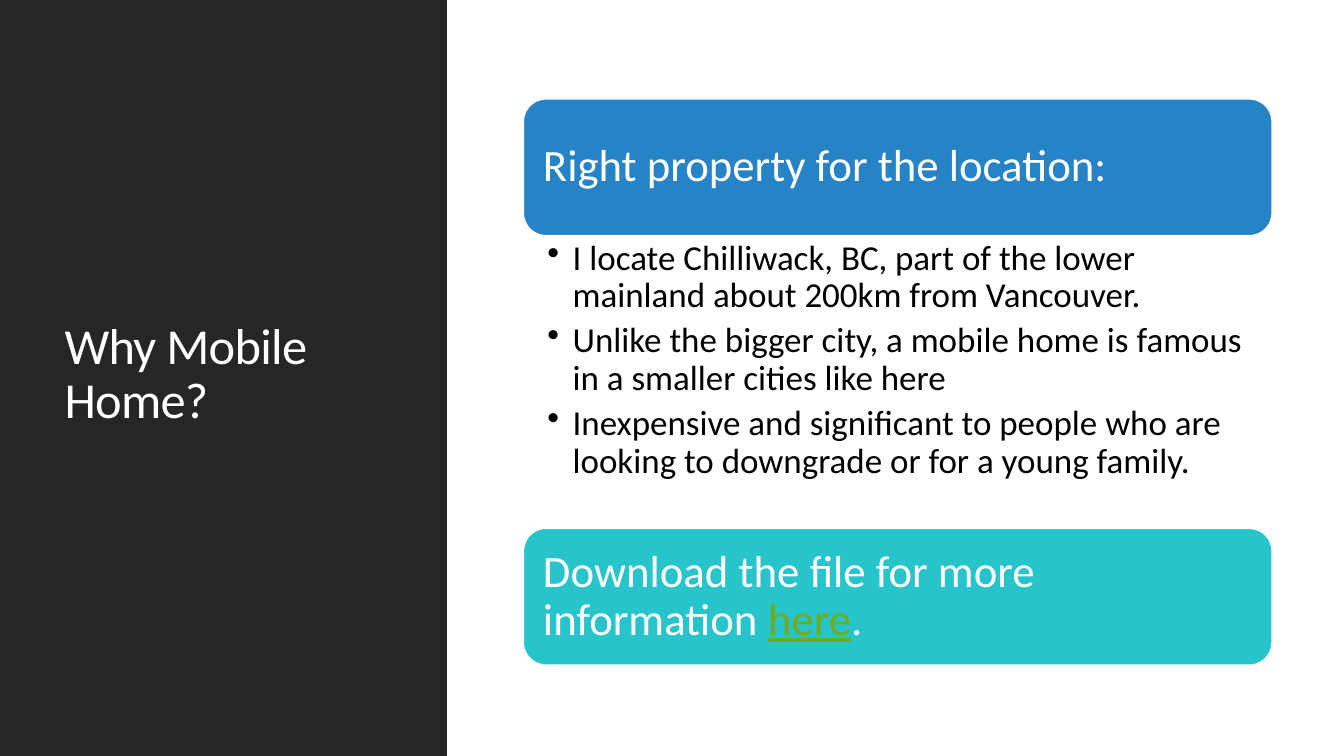
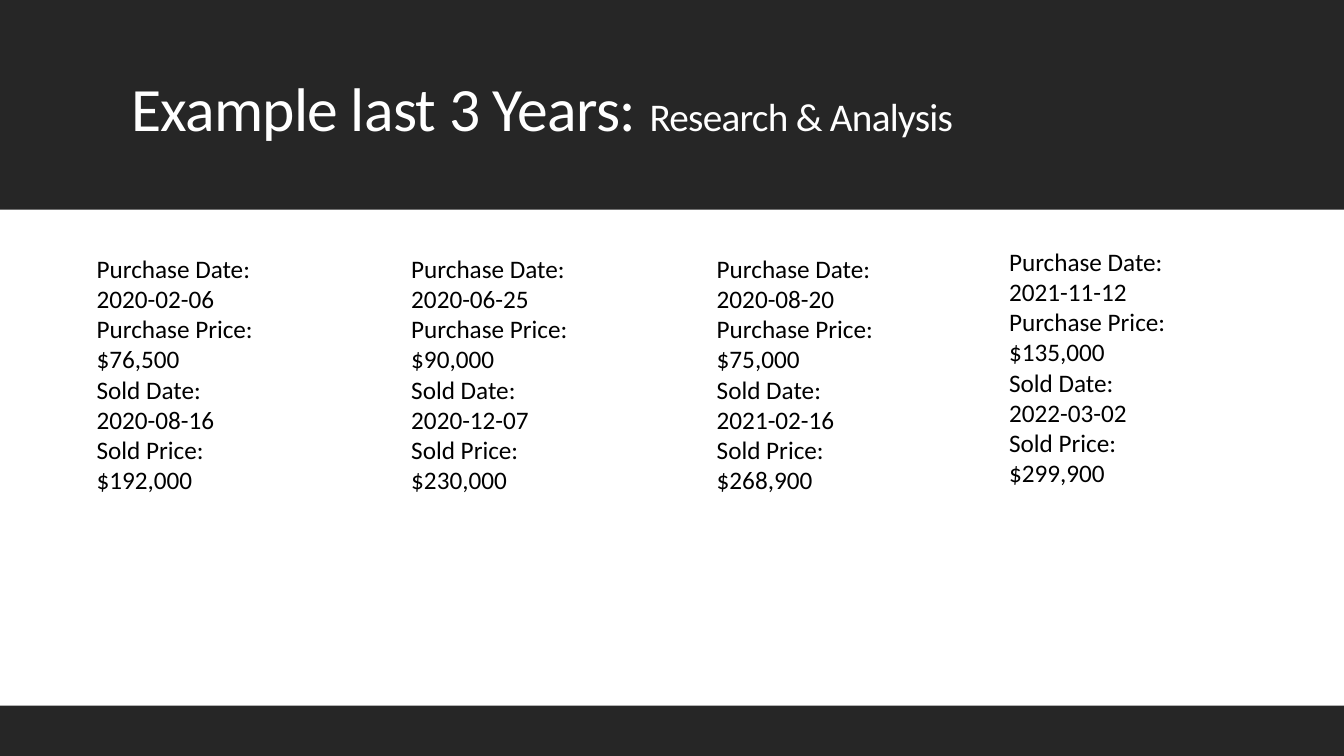
from lxml import etree
from pptx import Presentation
from pptx.dml.color import RGBColor
from pptx.enum.shapes import MSO_SHAPE
from pptx.enum.text import MSO_ANCHOR, MSO_AUTO_SIZE, PP_ALIGN
from pptx.oxml.ns import qn
from pptx.util import Inches, Pt

RECTANGLE, ROUNDED = MSO_SHAPE.RECTANGLE, MSO_SHAPE.ROUNDED_RECTANGLE
MIDDLE, LEFT, NO_FIT = MSO_ANCHOR.MIDDLE, PP_ALIGN.LEFT, MSO_AUTO_SIZE.NONE
FONT = "Calibri"
COLORS = {"dark": "262626", "white": "FFFFFF", "black": "000000",
          "blue": "2683C6", "teal": "28C4CC", "link": "6EAC1C"}

prs = Presentation()
prs.slide_width, prs.slide_height = Inches(13.33), Inches(7.5)


def area(left, top, width, height):
    """Turn percentages of the slide into left, top, width and height."""
    across, down = prs.slide_width / 100, prs.slide_height / 100
    return int(left * across), int(top * down), int(width * across), int(height * down)


def add_run(paragraph, text, size, color):
    run = paragraph.add_run()
    run.text = text
    run.font.name, run.font.size = FONT, Pt(size)
    run.font.color.rgb = RGBColor.from_string(COLORS[color])
    return run


# Dark bands and titles of both slides
FRAMES = [
    {"bands": [(0, 0, 33.25, 100)],
     "title_area": (4.05, 7.6, 25.28, 84.13),
     "title": [("Why Mobile Home?", 36)]},
    {"bands": [(0, 0, 100, 27.73), (0, 93.33, 100, 6.67)],
     "title_area": (9, 4.13, 82.5, 21.2),
     "title": [("Example last 3 Years: ", 44), ("Research & Analysis", 28)]},
]
slides = []
for frame in FRAMES:
    slide = prs.slides.add_slide(prs.slide_layouts[5])
    slides.append(slide)
    for band_area in frame["bands"]:
        band = slide.shapes.add_shape(RECTANGLE, *area(*band_area))
        band.shadow.inherit = False
        band.fill.solid()
        band.fill.fore_color.rgb = RGBColor.from_string(COLORS["dark"])
        band.line.fill.background()

    title = slide.shapes.title
    title.left, title.top, title.width, title.height = area(*frame["title_area"])
    title.text_frame.word_wrap = True
    title.text_frame.auto_size = NO_FIT
    title.text_frame.vertical_anchor = MIDDLE
    heading = title.text_frame.paragraphs[0]
    heading.alignment, heading.line_spacing = LEFT, 0.9
    for text, size in frame["title"]:
        run = add_run(heading, text, size, "white")
        run.font._element.set("spc", "-50")
    slide.shapes._spTree.append(title._element)  # in front of the bands

why_slide, example_slide = slides

# Slide 1: two cards with the reasons stacked between them
STACK_LEFT, STACK_WIDTH, STACK_TOP = 38.93, 55.73, 13.07
CARD_HEIGHT, REASONS_HEIGHT = 18.13, 38.67
reasons_top = STACK_TOP + CARD_HEIGHT
CARDS = [
    (STACK_TOP, "blue", [("Right property for the location:", "white")]),
    (reasons_top + REASONS_HEIGHT, "teal",
     [("Download the file for more information ", "white"), ("here", "link"), (".", "white")]),
]
for top, fill, runs in CARDS:
    card = why_slide.shapes.add_shape(ROUNDED, *area(STACK_LEFT, top, STACK_WIDTH, CARD_HEIGHT))
    card.shadow.inherit = False
    card.fill.solid()
    card.fill.fore_color.rgb = RGBColor.from_string(COLORS[fill])
    card.line.color.rgb = RGBColor.from_string(COLORS["white"])
    card.line.width = Pt(1.25)
    frame = card.text_frame
    frame.word_wrap, frame.vertical_anchor = True, MIDDLE
    # The rounded corners already inset the text by about 0.07 inches
    frame.margin_left = frame.margin_right = Inches(0.13)
    message = frame.paragraphs[0]
    message.alignment, message.line_spacing = LEFT, 0.9
    for text, color in runs:
        run = add_run(message, text, 32, color)
        run.font.underline = color == "link"

REASONS = [
    "I locate Chilliwack, BC, part of the lower mainland about 200km from Vancouver.",
    "Unlike the bigger city, a mobile home is famous in a smaller cities like here",
    "Inexpensive and significant to people who are looking to downgrade or for a young family.",
]
reasons = why_slide.shapes.add_textbox(
    *area(STACK_LEFT, reasons_top, STACK_WIDTH, REASONS_HEIGHT)).text_frame
reasons.word_wrap = True
reasons.margin_left, reasons.margin_right = Inches(0.24), Inches(0.25)
reasons.margin_top = reasons.margin_bottom = Inches(0.04)
for number, text in enumerate(REASONS):
    reason = reasons.add_paragraph() if number else reasons.paragraphs[0]
    reason.line_spacing, reason.space_after = 0.9, Pt(5)
    add_run(reason, text, 25, "black")
    properties = reason._p.get_or_add_pPr()
    properties.set("marL", str(Inches(0.25)))
    properties.set("indent", str(-Inches(0.25)))
    etree.SubElement(properties, qn("a:buChar")).set("char", "•")

# Slide 2: one column per sale
LABELS = ["Purchase Date:", "Purchase Price:", "Sold Date:", "Sold Price:"]
SALES = [
    (6.45, 32.8, ["2020-02-06", "$76,500", "2020-08-16", "$192,000"]),
    (29.86, 32.8, ["2020-06-25", "$90,000", "2020-12-07", "$230,000"]),
    (52.59, 32.8, ["2020-08-20", "$75,000", "2021-02-16", "$268,900"]),
    (74.34, 31.87, ["2021-11-12", "$135,000", "2022-03-02", "$299,900"]),
]
for left, top, values in SALES:
    sale = example_slide.shapes.add_textbox(*area(left, top, 17.25, 37.73)).text_frame
    sale.word_wrap = True
    lines = [line for pair in zip(LABELS, values) for line in pair]
    for number, text in enumerate(lines):
        paragraph = sale.add_paragraph() if number else sale.paragraphs[0]
        add_run(paragraph, text, 18, "black")

prs.save("out.pptx")
